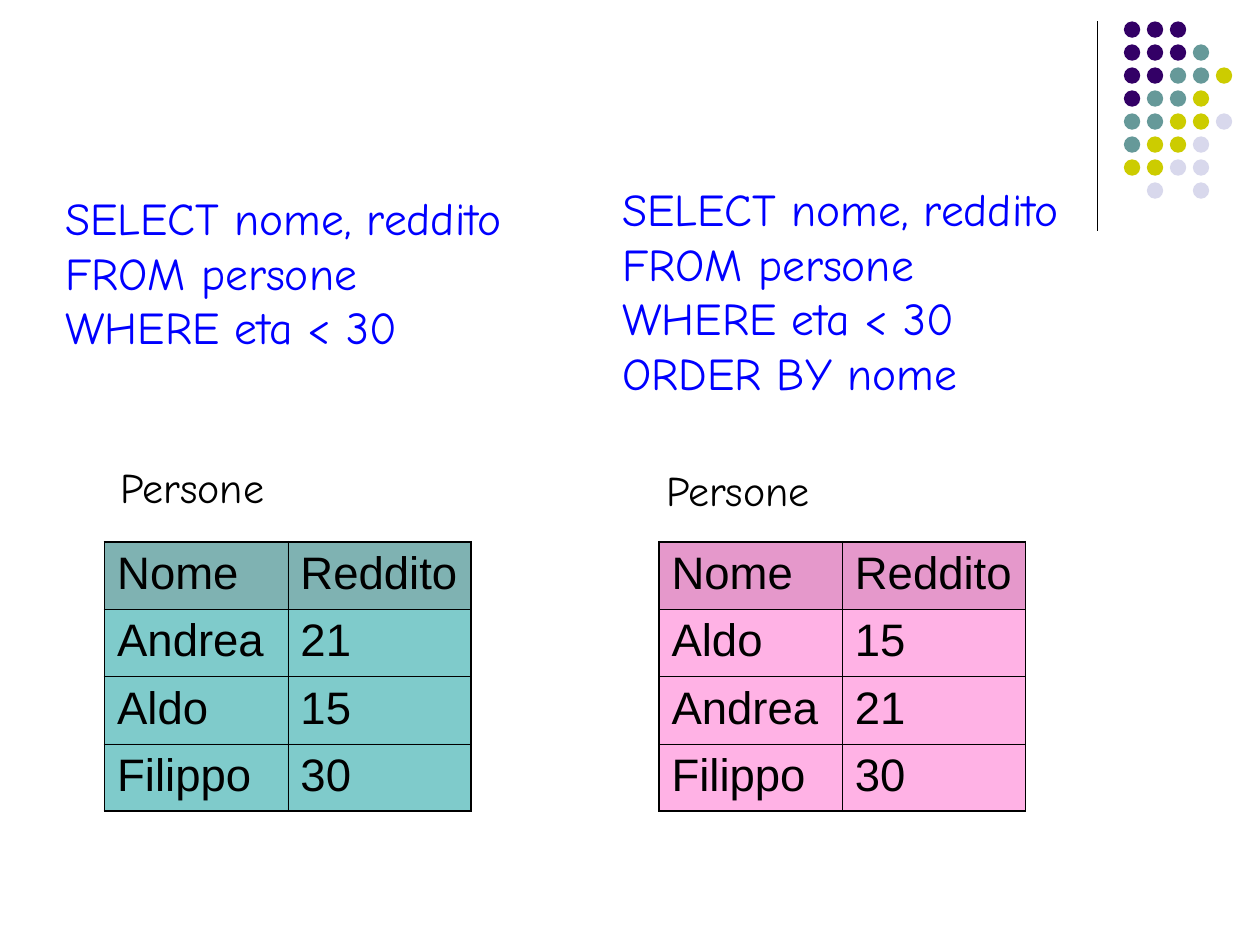
from dataclasses import dataclass

from lxml.etree import SubElement
from pptx import Presentation
from pptx.dml.color import RGBColor
from pptx.enum.shapes import MSO_CONNECTOR, MSO_SHAPE
from pptx.enum.text import MSO_ANCHOR, MSO_AUTO_SIZE
from pptx.oxml import parse_xml
from pptx.oxml.ns import nsdecls, qn
from pptx.util import Inches, Pt


@dataclass(frozen=True)
class Theme:
    ink: str = "000000"
    code: str = "0000FF"
    purple: str = "330066"
    teal: str = "669999"
    lime: str = "CCCC00"
    mist: str = "D8D8EC"
    green: tuple = ("006666", "009999")
    pink: tuple = ("CC3399", "FF66CC")
    hand: str = "Comic Neue"
    sans: str = "Arial"
    big: float = 26
    small: float = 24
    thin: float = 0.45
    thick: float = 1.08
    rule: float = 0.75


THEME = Theme()
DOTS = ["PPP", "PPPT", "PPTTL", "PTTL", "TTLLM", "TLLM", "LLMM", " M M"]
HUES = {"P": THEME.purple, "T": THEME.teal, "L": THEME.lime, "M": THEME.mist}
QUERY = ["SELECT nome, reddito", "FROM persone", "WHERE eta < 30"]
HEAD = ("Nome", "Reddito")


def apply(target, values):
    for name, value in values.items():
        setattr(target, name, value)


def set_font(para, face, size, hue):
    apply(para.font, {"name": face, "size": Pt(size), "bold": False})
    para.font.color.rgb = RGBColor.from_string(hue)


def add_text(slide, box, lines, size, hue, hang=0, wrap=True):
    frame = slide.shapes.add_textbox(*map(Inches, box)).text_frame
    fit = MSO_AUTO_SIZE.NONE if wrap else MSO_AUTO_SIZE.SHAPE_TO_FIT_TEXT
    apply(frame, {"word_wrap": wrap, "auto_size": fit,
                  "vertical_anchor": MSO_ANCHOR.TOP})
    frame.text = "\n".join(lines)
    for para in frame.paragraphs:
        if hang:
            props = para._p.get_or_add_pPr()
            props.set("marL", str(Inches(hang)))
            props.set("indent", str(-Inches(hang)))
        set_font(para, THEME.hand, size, hue)


def add_dots(slide, box):
    left, top, width, height = box
    line = slide.shapes.add_connector(
        MSO_CONNECTOR.STRAIGHT, Inches(left), Inches(top),
        Inches(left), Inches(top + height))
    line.line.color.rgb = RGBColor.from_string(THEME.ink)
    line.line.width = Pt(THEME.rule)
    SubElement(line._element.spPr, qn("a:effectLst"))
    size, inset = 0.13, 0.21
    step = (width - inset - size) / 4
    group = slide.shapes.add_group_shape()
    for row, marks in enumerate(DOTS):
        for col, mark in enumerate(marks):
            if mark == " ":
                continue
            dot = group.shapes.add_shape(
                MSO_SHAPE.OVAL, Inches(left + inset + col * step),
                Inches(top + row * step), Inches(size), Inches(size))
            dot.shadow.inherit = False
            dot.fill.solid()
            dot.fill.fore_color.rgb = RGBColor.from_string(HUES[mark])
            dot.line.fill.background()


def style_cell(cell, hue, edges):
    cell.fill.solid()
    cell.fill.fore_color.rgb = RGBColor.from_string(hue)
    props = cell._tc.get_or_add_tcPr()
    tint = props.find(".//" + qn("a:srgbClr"))
    SubElement(tint, qn("a:alpha")).set("val", "50000")
    for spot, (side, outer) in enumerate(zip("LRTB", edges)):
        width = Pt(THEME.thick if outer else THEME.thin)
        props.insert(spot, parse_xml(
            f'<a:ln{side} {nsdecls("a")} w="{width}"><a:solidFill>'
            f'<a:srgbClr val="{THEME.ink}"/></a:solidFill></a:ln{side}>'))
    set_font(cell.text_frame.paragraphs[0], THEME.sans, THEME.big, THEME.ink)


def add_grid(slide, box, rows, hues):
    left, top, width, height = map(Inches, box)
    count, span = len(rows), len(rows[0])
    table = slide.shapes.add_table(count, span, left, top, width, height).table
    apply(table, {"first_row": False, "horz_banding": False})
    for r, row in enumerate(rows):
        for c, text in enumerate(row):
            cell = table.cell(r, c)
            apply(cell, {
                "text": text, "margin_left": Inches(0.1),
                "margin_right": Inches(0.1), "margin_top": Inches(0.05),
                "margin_bottom": Inches(0.05)})
            edges = (c == 0, c == span - 1, r == 0, r == count - 1)
            style_cell(cell, hues[min(r, 1)], edges)


def add_panel(slide, box, code, label, grid, lines, rows, hues):
    left, top = box[:2]

    def place(part):
        return (left + part[0], top + part[1], *part[2:])

    add_text(slide, place(code), lines, THEME.big, THEME.code, hang=0.38)
    add_grid(slide, place(grid), [HEAD, *rows], hues)
    add_text(slide, place(label), ["Persone"], THEME.small, THEME.ink, wrap=False)


def main():
    deck = Presentation()
    apply(deck, {"slide_width": Inches(10), "slide_height": Inches(7.5)})
    slide = deck.slides.add_slide(deck.slide_layouts[6])
    add_dots(slide, (8.71, 0.17, 1.07, 1.66))
    andrea, aldo, last = ("Andrea", "21"), ("Aldo", "15"), ("Filippo", "30")
    add_panel(slide, (0.42, 1.39, 4.67, 5.05), (0, 0.07, 4.67, 1.58),
              (0.44, 2.22, 1.35, 0.5), (0.41, 2.91, 2.91, 2.14),
              QUERY, [andrea, aldo, last], THEME.green)
    add_panel(slide, (4.84, 1.39, 4.32, 5.05), (0, 0, 4.32, 1.98),
              (0.35, 2.25, 1.35, 0.5), (0.39, 2.91, 2.91, 2.14),
              [*QUERY, "ORDER BY nome"], [aldo, andrea, last], THEME.pink)
    deck.save("out.pptx")


if __name__ == "__main__":
    main()
